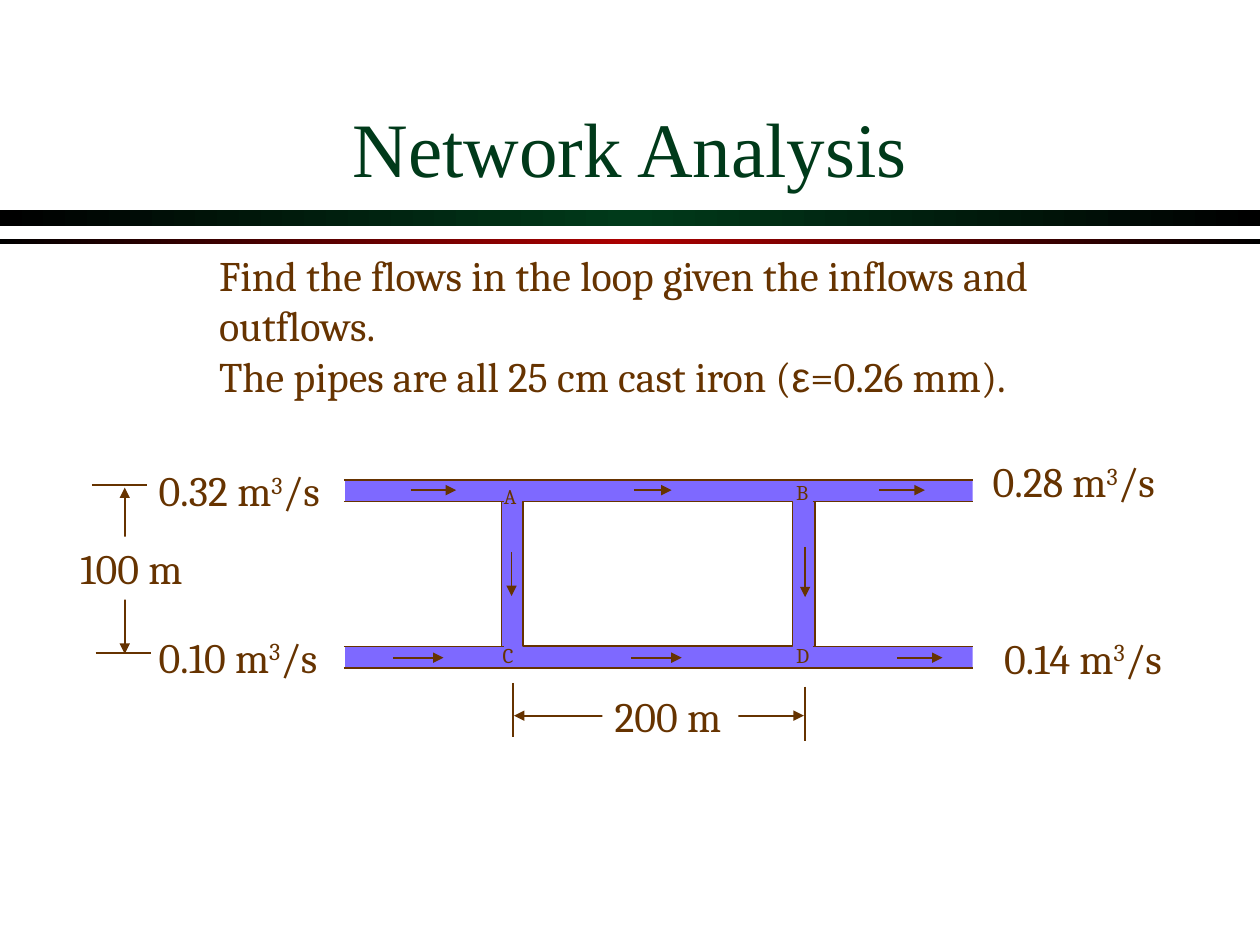
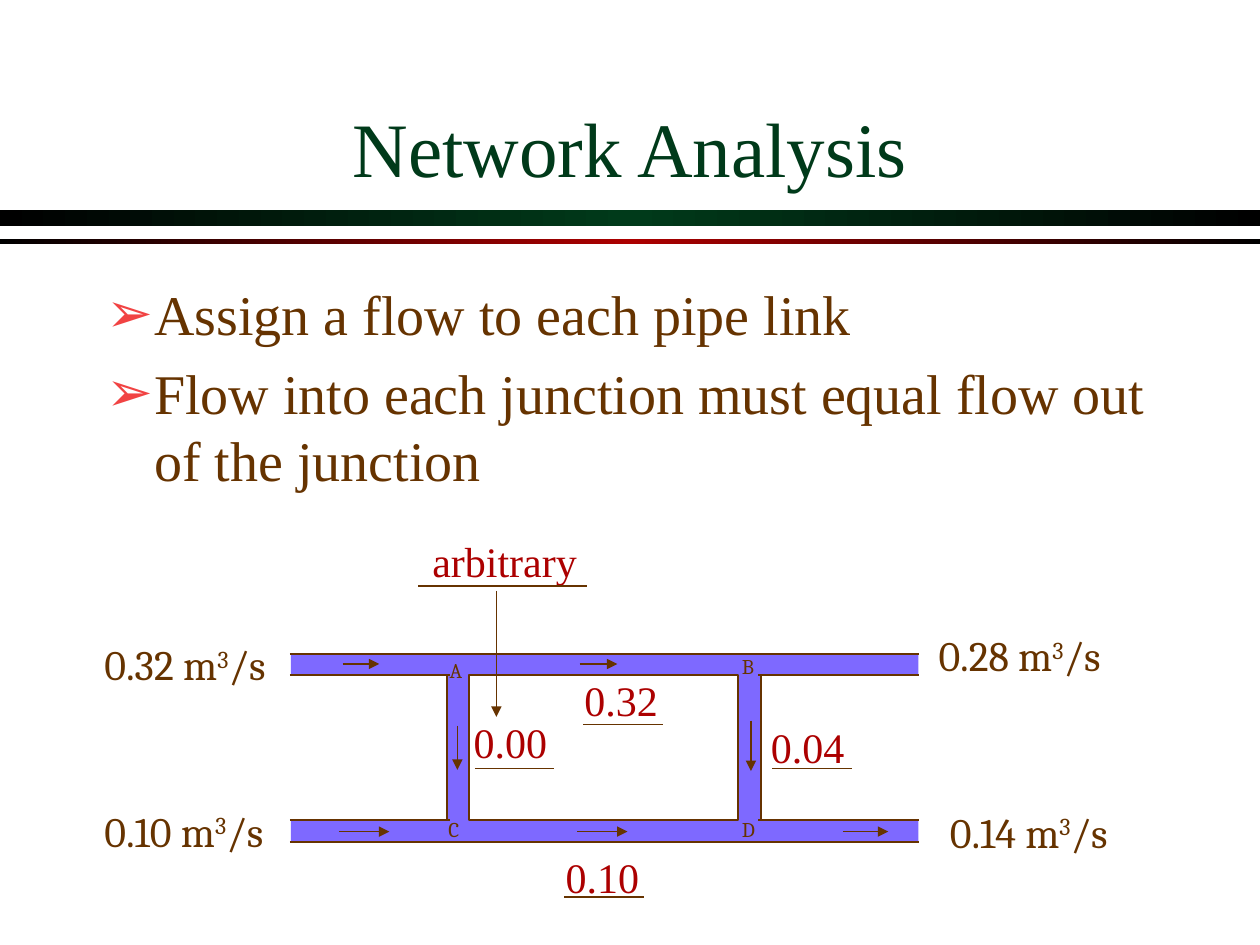
"""Two slides on the flow in a looped pipe network."""
import copy
from dataclasses import dataclass

import lxml.etree
import pptx
import pptx.dml.color
import pptx.enum.shapes
import pptx.enum.text
import pptx.oxml.ns
import pptx.util

RGBColor = pptx.dml.color.RGBColor
BROWN = RGBColor(0x66, 0x33, 0x00)
GREEN = RGBColor(0x00, 0x3A, 0x1A)
RED = RGBColor(0xAC, 0x00, 0x00)
CORAL = RGBColor(0xF1, 0x43, 0x43)
WATER = RGBColor(0x7E, 0x69, 0xFF)
BLACK = RGBColor(0, 0, 0)
WHITE = RGBColor(255, 255, 255)

SERIF, BOOK, SANS = "Times New Roman", "Cambria", "Arial"
ALIGN = pptx.enum.text.PP_ALIGN
ANCHOR = pptx.enum.text.MSO_ANCHOR
FIT = pptx.enum.text.MSO_AUTO_SIZE

# The slide is a grid of 100 columns and 75 rows; every length counts these.
COLS, ROWS = 100, 75
WIDE, HIGH = pptx.util.Inches(10), pptx.util.Inches(7.5)

# Parts of the pipe loop, from its top left corner.
LOOP_W, LOOP_H, PIPE = 24.9, 14.9, 1.7
STUB_W, LEFT_X, RIGHT_X = 12.6, -12.4, 24.8
TOP_Y, LOW_Y = 0, LOOP_H - PIPE
MID_TOP, MID_LOW = 0.8, 14.1


@dataclass
class Box:
    """A place on the grid."""
    x: float
    y: float
    w: float
    h: float


@dataclass
class Span:
    """A run of text in one style."""
    text: str
    font: str = BOOK
    size: float = 24
    tint: RGBColor = BROWN
    lift: bool = False


@dataclass
class Stroke:
    """A straight line, with arrowheads where wanted."""
    x1: float
    y1: float
    x2: float
    y2: float
    head: bool = False
    tail: bool = False


@dataclass
class Label:
    """A short text at a point."""
    text: str
    x: float
    y: float


# Arrows and labels that both slides share, from the corner of the loop.
FLOWS = [
    Stroke(-8.6, MID_LOW, -4.6, MID_LOW, tail=True),
    Stroke(31.4, MID_LOW, 35, MID_LOW, tail=True),
    Stroke(0.8, 5.7, 0.8, 9.2, tail=True),
    Stroke(24.1, 5.3, 24.1, 9.3, tail=True),
    Stroke(10.3, MID_LOW, 14.3, MID_LOW, tail=True),
    Stroke(10.5, MID_TOP, 13.5, MID_TOP, tail=True),
]
NODES = [Label("A", -0.8, -0.2), Label("B", 22.4, -0.5),
         Label("C", -0.9, 12.4), Label("D", 22.4, 12.4)]
RATES = [Label("0.10", -28.2, 11.5), Label("0.32", -28.2, -1.7),
         Label("0.28", 38, -2.4), Label("0.14", 38.9, 11.6)]


def across(cols: float) -> int:
    """Turn columns into a length."""
    return round(WIDE * cols / COLS)


def down(rows: float) -> int:
    """Turn rows into a length."""
    return round(HIGH * rows / ROWS)


def place(box: Box) -> tuple[int, int, int, int]:
    """Turn a grid box into left, top, width and height."""
    return across(box.x), down(box.y), across(box.w), down(box.h)


def tag(parent, name: str, **props: str):
    """Add a child element with its properties."""
    return lxml.etree.SubElement(parent, pptx.oxml.ns.qn(name), props)


def block(slide, box: Box, fill: RGBColor, edge: bool = False):
    """Draw a plain rectangle."""
    kind = pptx.enum.shapes.MSO_SHAPE.RECTANGLE
    shape = slide.shapes.add_shape(kind, *place(box))
    shape.shadow.inherit = False
    shape.fill.solid()
    shape.fill.fore_color.rgb = fill
    if edge:
        shape.line.color.rgb = BROWN
        shape.line.width = pptx.util.Pt(1)
    else:
        shape.line.fill.background()
    return shape


def band(slide, box: Box, tint: RGBColor) -> None:
    """Draw a bar that fades from a tint to black at both ends."""
    fill = (shape := block(slide, box, tint)).fill
    fill.gradient()
    fill.gradient_angle = 0
    stops = next(shape.element.iter(pptx.oxml.ns.qn("a:gsLst")))
    stops.append(copy.deepcopy(stops[0]))
    for stop, spot, shade in zip(fill.gradient_stops, (0, 0.5, 1),
                                 (BLACK, tint, BLACK)):
        stop.position = spot
        stop.color.rgb = shade


def draw(slide, stroke: Stroke, x: float = 0, y: float = 0) -> None:
    """Draw a line, moved by x columns and y rows."""
    line = slide.shapes.add_connector(
        pptx.enum.shapes.MSO_CONNECTOR.STRAIGHT,
        across(x + stroke.x1), down(y + stroke.y1),
        across(x + stroke.x2), down(y + stroke.y2))
    line.line.color.rgb = BROWN
    line.line.width = pptx.util.Pt(1)
    props = line.element.spPr
    pen = props.find(pptx.oxml.ns.qn("a:ln"))
    if stroke.head:
        tag(pen, "a:headEnd", type="triangle")
    if stroke.tail:
        tag(pen, "a:tailEnd", type="triangle")
    tag(props, "a:effectLst")


def write(para, spans: list[Span], shade: bool = False) -> None:
    """Add runs to a paragraph, with a shadow if asked."""
    for span in spans:
        run = para.add_run()
        run.text = span.text
        run.font.size = pptx.util.Pt(span.size)
        run.font.color.rgb = span.tint
        props = run.font._element
        if span.lift:
            props.set("baseline", "30000")
        if shade:
            glow = tag(tag(props, "a:effectLst"), "a:outerShdw",
                       dist="25400", dir="2700000")
            tag(glow, "a:srgbClr", val=str(BLACK))
        run.font.name = span.font


def text(slide, box: Box, paras: list[list[Span]], wrap: bool = False,
         center: bool = False):
    """Add a text box of one or more paragraphs."""
    shape = slide.shapes.add_textbox(*place(box))
    frame = shape.text_frame
    frame.word_wrap = wrap
    frame.auto_size = FIT.SHAPE_TO_FIT_TEXT
    frame.vertical_anchor = ANCHOR.MIDDLE if center else ANCHOR.TOP
    for i, spans in enumerate(paras):
        para = frame.add_paragraph() if i else frame.paragraphs[0]
        para.alignment = ALIGN.CENTER if center else ALIGN.LEFT
        write(para, spans)
    return shape


def bullet(para) -> None:
    """Give a paragraph an arrow bullet and a hanging indent."""
    para.space_before = pptx.util.Pt(6.4)
    props = para._p.get_or_add_pPr()
    indent = across(3.75)
    props.set("marL", str(indent))
    props.set("indent", str(-indent))
    tag(tag(props, "a:buClr"), "a:srgbClr", val=str(CORAL))
    tag(props, "a:buFont", typeface=SANS)
    tag(props, "a:buChar", char="\u27a2")


def start(deck, title: str):
    """Add a slide with its bands and title."""
    slide = deck.slides.add_slide(deck.slide_layouts[5])
    band(slide, Box(0, 16.7, COLS, 1.2), GREEN)
    band(slide, Box(0, 19, COLS, 0.4), RED)
    shape = slide.shapes.title
    shape.left, shape.top, shape.width, shape.height = place(
        Box(7.5, 3.3, 85, 12.5))
    frame = shape.text_frame
    frame.auto_size = FIT.NONE
    frame.vertical_anchor = ANCHOR.BOTTOM
    frame.paragraphs[0].alignment = ALIGN.CENTER
    write(frame.paragraphs[0], [Span(title, SERIF, 44, GREEN)], shade=True)
    return slide


def stub(slide, x: float, y: float) -> None:
    """Draw an open pipe end with lines along its two sides."""
    block(slide, Box(x, y, STUB_W, PIPE), WATER)
    for side in (y, y + PIPE):
        draw(slide, Stroke(x - 0.1, side, x + STUB_W, side))


def network(slide, x: float, y: float, extra: list[Stroke]) -> None:
    """Draw the pipe loop with its ends, arrows and labels."""
    block(slide, Box(x, y, LOOP_W, LOOP_H), WATER, edge=True)
    block(slide, Box(x + PIPE, y + PIPE, LOOP_W - 2 * PIPE - 0.1,
                     LOOP_H - 2 * PIPE), WHITE, edge=True)
    for left in (LEFT_X, RIGHT_X):
        for top in (TOP_Y, LOW_Y):
            stub(slide, x + left, y + top)
    for stroke in FLOWS + extra:
        draw(slide, stroke, x, y)
    for node in NODES:
        text(slide, Box(x + node.x, y + node.y, 3.3, 3),
             [[Span(node.text, size=12)]])
    for rate in RATES:
        text(slide, Box(x + rate.x, y + rate.y, 16.1, 5),
             [[Span(rate.text + " m"), Span("3", lift=True), Span("/s")]])


def measure(slide, stroke: Stroke, label: Label) -> None:
    """Draw a size arrow with its value over the middle."""
    draw(slide, stroke)
    shape = text(slide, Box(label.x, label.y, 10.8, 5), [[Span(label.text)]])
    shape.fill.solid()
    shape.fill.fore_color.rgb = WHITE


def given(deck) -> None:
    """Build the slide that states the problem."""
    slide = start(deck, "Network Analysis")
    text(slide, Box(16.4, 19.3, 72.4, 13), [
        [Span("Find the flows in the loop given the inflows and outflows.")],
        [Span("The pipes are all 25 cm cast iron ("), Span("ε", SANS),
         Span("=0.26 mm).")]], wrap=True)
    network(slide, 39.8, 38.1, [
        Stroke(-7.2, MID_TOP, -3.6, MID_TOP, tail=True),
        Stroke(30, MID_TOP, 33.6, MID_TOP, tail=True)])
    measure(slide, Stroke(40.8, 56.8, 63.8, 56.8, True, True),
            Label("200 m", 47.8, 54.3))
    measure(slide, Stroke(9.9, 51.9, 9.9, 38.7, True, True),
            Label("100 m", 5.4, 42.6))
    for stroke in (Stroke(40.7, 54.2, 40.7, 58.5),
                   Stroke(63.9, 54.5, 63.9, 58.8),
                   Stroke(7.3, 38.5, 11.7, 38.5),
                   Stroke(7.6, 51.8, 12, 51.8)):
        draw(slide, stroke)


def assign(deck) -> None:
    """Build the slide that gives each pipe a flow."""
    slide = start(deck, "Network Analysis")
    points = ["Assign a flow to each pipe link",
              "Flow into each junction must equal flow out of the junction"]
    body = text(slide, Box(7.5, 21.7, 85, 45),
                [[Span(point, SERIF, 32)] for point in points], wrap=True)
    body.text_frame.auto_size = FIT.NONE
    for para in body.text_frame.paragraphs:
        bullet(para)
    network(slide, 35.5, 51.9,
            [Stroke(-8.3, MID_TOP, -5.4, MID_TOP, tail=True)])
    for label, x, y in ((Label("0.32", 45.4, 53), 46.3, 57.5),
                        (Label("0.00", 36.6, 56.4), 37.7, 61),
                        (Label("0.10", 43.9, 67.1), 44.8, 71.2),
                        (Label("0.04", 60.2, 56.8), 61.3, 61)):
        text(slide, Box(label.x, label.y, 7.8, 5),
             [[Span(label.text, SERIF, tint=RED)]], center=True)
        draw(slide, Stroke(x, y, x + 6.3, y))
    text(slide, Box(33.3, 42, 13.5, 5),
         [[Span("arbitrary", SERIF, tint=RED)]], center=True)
    draw(slide, Stroke(33.2, 46.5, 46.6, 46.5))
    draw(slide, Stroke(39.4, 46.9, 39.4, 56.9, tail=True))


deck = pptx.Presentation()
deck.slide_width, deck.slide_height = WIDE, HIGH
given(deck)
assign(deck)
deck.save("out.pptx")
